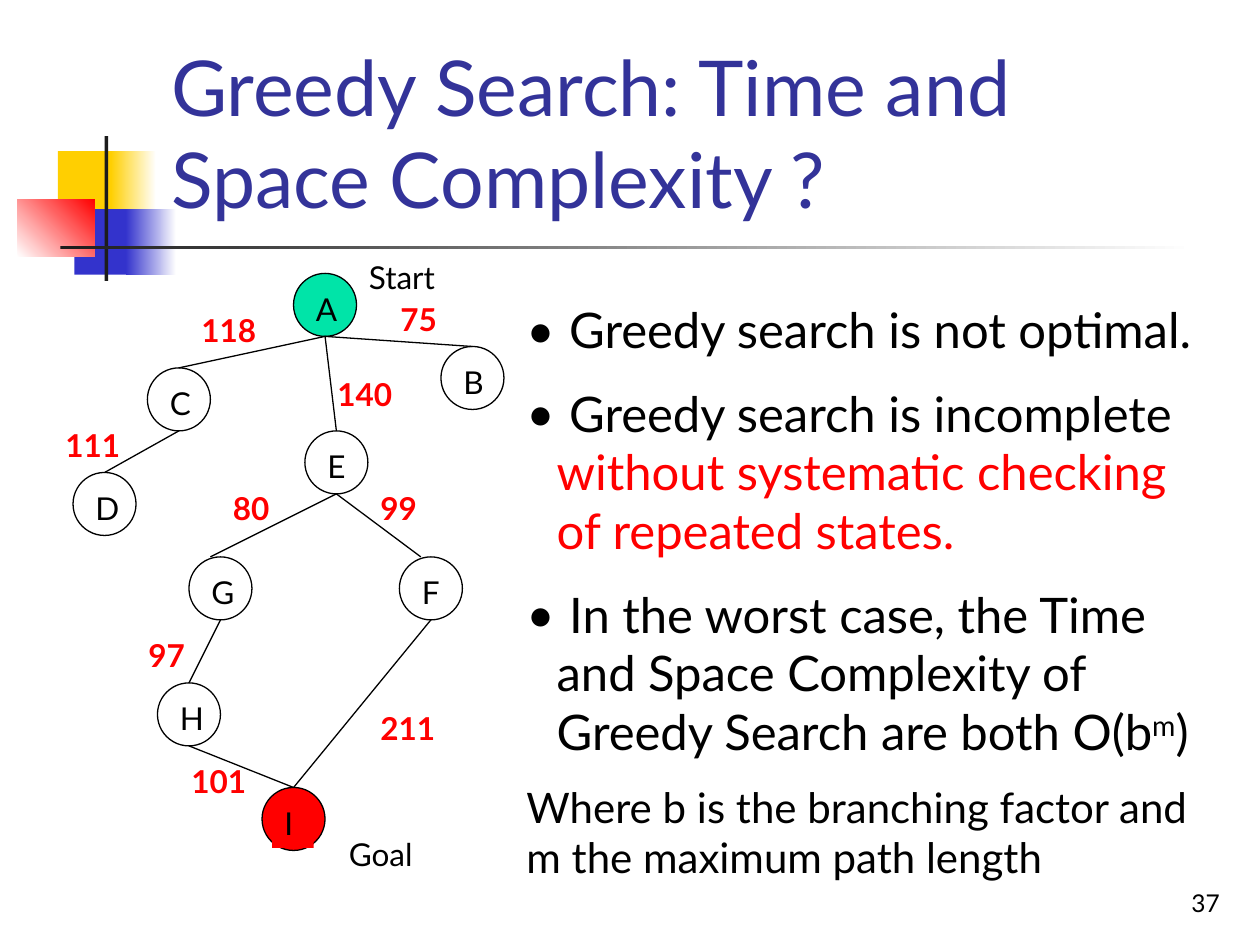
from lxml.etree import SubElement
from pptx import Presentation
from pptx.dml.color import RGBColor
from pptx.enum.shapes import MSO_CONNECTOR, MSO_SHAPE
from pptx.enum.text import MSO_ANCHOR, PP_ALIGN
from pptx.oxml.ns import qn
from pptx.util import Pt

SCALE = 9144
FONT = "Lato"
BLACK, WHITE, RED = "000000", "FFFFFF", "FF0000"
YELLOW, BLUE, CHARCOAL = "FFCF01", "3333CC", "1C1C1C"
NODE = 50

NODES = {
    "A": (191, 17, "00E4A8"), "B": (308, 75, None), "C": (75, 92, None),
    "D": (16, 175, None), "E": (200, 142, None), "F": (275, 242, None),
    "G": (108, 242, None), "H": (83, 342, None), "I": (166, 425, RED),
}
EDGES = [
    ("A", "B", 0), ("A", "C", 0), ("A", "E", 0), ("C", "D", 0), ("E", "F", -8),
    ("E", "G", -8), ("G", "H", 0), ("H", "I", 0), ("F", "I", 0),
]
COSTS = [
    ("75", 266, 33), ("118", 108, 42), ("140", 216, 93), ("111", 0, 133),
    ("99", 250, 183), ("80", 133, 183), ("97", 66, 300), ("101", 100, 400),
    ("211", 250, 358),
]
CAPTIONS = [("Start", 241, 0), ("Goal", 225, 458)]
POINTS = [
    [(" Greedy search is not optimal.", BLACK, 0)],
    [(" Greedy search is incomplete ", BLACK, 0),
     ("without systematic checking of repeated states.", RED, 0)],
    [(" In the worst case, the Time and Space Complexity of Greedy Search are both O(b", BLACK, 0),
     ("m", BLACK, 30000), (")", BLACK, 0)],
]
FOOTNOTE = [("Where b is the branching factor and m the maximum path length", BLACK, 0)]


def px(*lengths):
    return [round(length * SCALE) for length in lengths]


def color(value):
    return RGBColor.from_string(value)


def style(span, size, shade, bold=False):
    span.font.name = FONT
    span.font.size = Pt(size)
    span.font.bold = bold
    span.font.color.rgb = color(shade)


def add_text(page, box, text, size, shade=BLACK, bold=False):
    frame = page.shapes.add_textbox(*px(*box)).text_frame
    frame.word_wrap = True
    frame.text = text
    for span in frame.paragraphs[0].runs:
        style(span, size, shade, bold)
    return frame


def add_block(page, box, start, end=None, angle=0):
    block = page.shapes.add_shape(MSO_SHAPE.RECTANGLE, *px(*box))
    block.shadow.inherit = False
    block.line.fill.background()
    if end is None:
        block.fill.solid()
        block.fill.fore_color.rgb = color(start)
        return
    block.fill.gradient()
    block.fill.gradient_angle = angle
    for stop, shade in zip(block.fill.gradient_stops, (start, end)):
        stop.color.rgb = color(shade)


def add_ornament(page, box):
    left, top, width, height = box
    add_block(page, (left + 32, top + 12, 48, 52), YELLOW)
    add_block(page, (left + 74, top + 12, 36, 52), YELLOW, WHITE)
    add_block(page, (left + 45, top + 58, 46, 52), BLUE)
    add_block(page, (left + 86, top + 58, 40, 52), BLUE, WHITE)
    add_block(page, (left, top + 50, 61, 46), WHITE, RED, 45)
    add_block(page, (left + 69, top, 3, height), CHARCOAL)
    add_block(page, (left + 34, top + 87, width - 34, 3), CHARCOAL, WHITE)


def add_title(page, box):
    frame = add_text(page, box, "Greedy Search: Time and Space Complexity ?", 44, "333399")
    frame.vertical_anchor = MSO_ANCHOR.BOTTOM


def add_page_number(page, box):
    frame = add_text(page, box, "37", 14)
    frame.vertical_anchor = MSO_ANCHOR.BOTTOM
    frame.paragraphs[0].alignment = PP_ALIGN.RIGHT


def add_node(page, left, top, name, shade):
    circle = page.shapes.add_shape(MSO_SHAPE.OVAL, *px(left, top, NODE, NODE))
    circle.shadow.inherit = False
    circle.line.color.rgb = color(BLACK)
    circle.line.width = Pt(0.75)
    label = (left + 8, top + 8, 33, 40)
    if shade is None:
        circle.fill.background()
    else:
        circle.fill.solid()
        circle.fill.fore_color.rgb = color(shade)
    if name == "I":
        add_block(page, label, shade)
    add_text(page, label, name, 18)


def add_edge(page, start, end):
    edge = page.shapes.add_connector(MSO_CONNECTOR.STRAIGHT, *px(*start, *end))
    edge.line.color.rgb = color(BLACK)
    edge.line.width = Pt(0.75)
    SubElement(edge._element.spPr, qn("a:effectLst"))


def add_tree(page, box):
    left, top, width, height = box
    for name, (x, y, shade) in NODES.items():
        add_node(page, left + x, top + y, name, shade)
    for parent, child, shift in EDGES:
        parent_x, parent_y = NODES[parent][:2]
        child_x, child_y = NODES[child][:2]
        start = (left + parent_x + NODE / 2, top + parent_y + NODE)
        end = (left + child_x + NODE / 2 + shift, top + child_y)
        add_edge(page, start, end)
    for cost, x, y in COSTS:
        add_text(page, (left + x, top + y, 83, 40), cost, 18, RED, True)
    for caption, x, y in CAPTIONS:
        add_text(page, (left + x, top + y, 133, 40), caption, 18)


def fill_para(para, pieces, size):
    for text, shade, baseline in pieces:
        span = para.add_run()
        span.text = text
        style(span, size, shade)
        if baseline:
            span.font._element.set("baseline", str(baseline))


def add_bullet(para):
    indent = px(24)[0]
    properties = para._p.get_or_add_pPr()
    properties.set("marL", str(indent))
    properties.set("indent", str(-indent))
    SubElement(properties, qn("a:buFont")).set("typeface", FONT)
    SubElement(properties, qn("a:buChar")).set("char", "•")


def add_points(page, box):
    frame = page.shapes.add_textbox(*px(*box)).text_frame
    frame.word_wrap = True
    for index, pieces in enumerate(POINTS):
        para = frame.add_paragraph() if index else frame.paragraphs[0]
        para.space_before = Pt(14 if index else 0)
        add_bullet(para)
        fill_para(para, pieces, 28)
    para = frame.add_paragraph()
    para.space_before = Pt(12)
    fill_para(para, FOOTNOTE, 24)


def main():
    deck = Presentation()
    deck.slide_width, deck.slide_height = px(1000, 750)
    page = deck.slides.add_slide(deck.slide_layouts[6])
    add_ornament(page, (14, 108, 934, 115))
    add_page_number(page, (770, 683, 208, 50))
    add_title(page, (126, 23, 852, 160))
    add_tree(page, (42, 200, 358, 498))
    add_points(page, (408, 233, 567, 484))
    deck.save("out.pptx")


if __name__ == "__main__":
    main()
